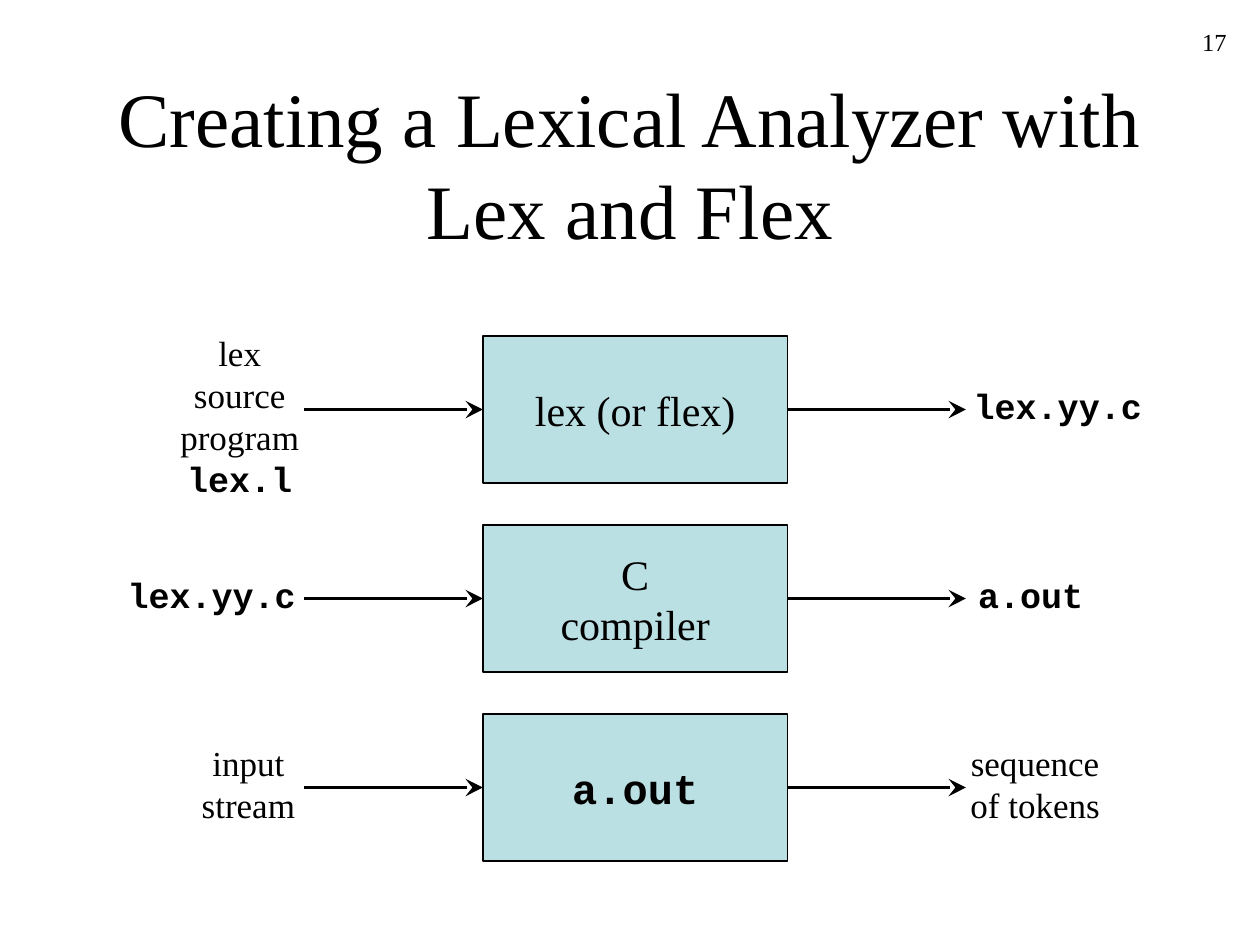
"""Build the slide on creating a lexical analyzer with Lex and Flex."""
from lxml.etree import SubElement
from pptx import Presentation
from pptx.dml.color import RGBColor
from pptx.enum.shapes import MSO_CONNECTOR, MSO_SHAPE
from pptx.enum.text import MSO_ANCHOR as Anchor, MSO_AUTO_SIZE as AutoSize, PP_ALIGN as Align
from pptx.oxml.ns import qn
from pptx.util import Pt

BLACK = RGBColor(0x00, 0x00, 0x00)
PALE_TEAL = RGBColor(0xBB, 0xE0, 0xE3)
PROSE = {"name": "Times New Roman", "bold": False}
CODE = {"name": "Courier New", "bold": True}

TITLE = "Creating a Lexical Analyzer with Lex and Flex"
PAGE_NUMBER = "17"
STAGES = [
    {
        "input": ([("lex", PROSE), ("source", PROSE), ("program", PROSE), ("lex.l", CODE)], 95.5, 186, 83),
        "tool": [("lex (or flex)", PROSE)],
        "output": ([("lex.yy.c", CODE)], 549, 216, 111),
    },
    {
        "input": ([("lex.yy.c", CODE)], 65.5, 324, 111),
        "tool": [("C", PROSE), ("compiler", PROSE)],
        "output": ([("a.out", CODE)], 551.5, 324, 75),
    },
    {
        "input": ([("input", PROSE), ("stream", PROSE)], 107.5, 420, 69),
        "tool": [("a.out", CODE)],
        "output": ([("sequence", PROSE), ("of tokens", PROSE)], 546.5, 420, 90),
    },
]

TOOL_LEFT, TOOL_TOP, TOOL_WIDTH, TOOL_HEIGHT = 276, 192, 174, 84
STAGE_PITCH = 108
ARROW_LENGTH = 102
LABEL_LINE, LABEL_PADDING = 24, 7.2


def apply(target, values):
    for key, value in values.items():
        setattr(target, key, value)


def write(frame, lines, size, align=Align.CENTER, **frame_format):
    apply(frame, frame_format)
    paragraph = frame.paragraphs[0]
    paragraph.alignment = align
    for index, (text, style) in enumerate(lines):
        if index:
            paragraph.add_line_break()
        run = paragraph.add_run()
        run.text = text
        apply(run.font, {**style, "size": Pt(size)})
        run.font.color.rgb = BLACK


def add_label(slide, lines, left, top, width):
    height = LABEL_PADDING + LABEL_LINE * len(lines)
    label = slide.shapes.add_textbox(Pt(left), Pt(top), Pt(width), Pt(height))
    write(label.text_frame, lines, 20, word_wrap=False, auto_size=AutoSize.SHAPE_TO_FIT_TEXT)


def add_tool(slide, lines, top):
    tool = slide.shapes.add_shape(
        MSO_SHAPE.RECTANGLE, Pt(TOOL_LEFT), Pt(top), Pt(TOOL_WIDTH), Pt(TOOL_HEIGHT))
    tool.shadow.inherit = False
    tool.fill.solid()
    tool.fill.fore_color.rgb = PALE_TEAL
    tool.line.color.rgb = BLACK
    tool.line.width = Pt(0.75)
    write(tool.text_frame, lines, 24, word_wrap=False, vertical_anchor=Anchor.MIDDLE)


def add_arrow(slide, start, y):
    arrow = slide.shapes.add_connector(
        MSO_CONNECTOR.STRAIGHT, Pt(start), Pt(y), Pt(start + ARROW_LENGTH), Pt(y))
    arrow.line.color.rgb = BLACK
    arrow.line.width = Pt(2)
    properties = arrow._element.spPr
    SubElement(properties.find(qn("a:ln")), qn("a:tailEnd"), type="stealth", w="lg", len="lg")
    SubElement(properties, qn("a:effectLst"))


def main():
    deck = Presentation()
    apply(deck, {"slide_width": Pt(720), "slide_height": Pt(540)})
    slide = deck.slides.add_slide(deck.slide_layouts[5])

    title = slide.shapes.title
    apply(title, {"left": Pt(54), "top": Pt(48), "width": Pt(612), "height": Pt(90)})
    write(title.text_frame, [(TITLE, PROSE)], 44, word_wrap=True,
          auto_size=AutoSize.NONE, vertical_anchor=Anchor.MIDDLE)

    number = slide.shapes.add_textbox(Pt(558), Pt(12), Pt(150), Pt(36))
    write(number.text_frame, [(PAGE_NUMBER, PROSE)], 14, Align.RIGHT, word_wrap=True)

    for row, stage in enumerate(STAGES):
        top = TOOL_TOP + row * STAGE_PITCH
        add_tool(slide, stage["tool"], top)
        for side in ("input", "output"):
            add_label(slide, *stage[side])
        for start in (TOOL_LEFT - ARROW_LENGTH, TOOL_LEFT + TOOL_WIDTH):
            add_arrow(slide, start, top + TOOL_HEIGHT / 2)

    deck.save("out.pptx")


if __name__ == "__main__":
    main()
